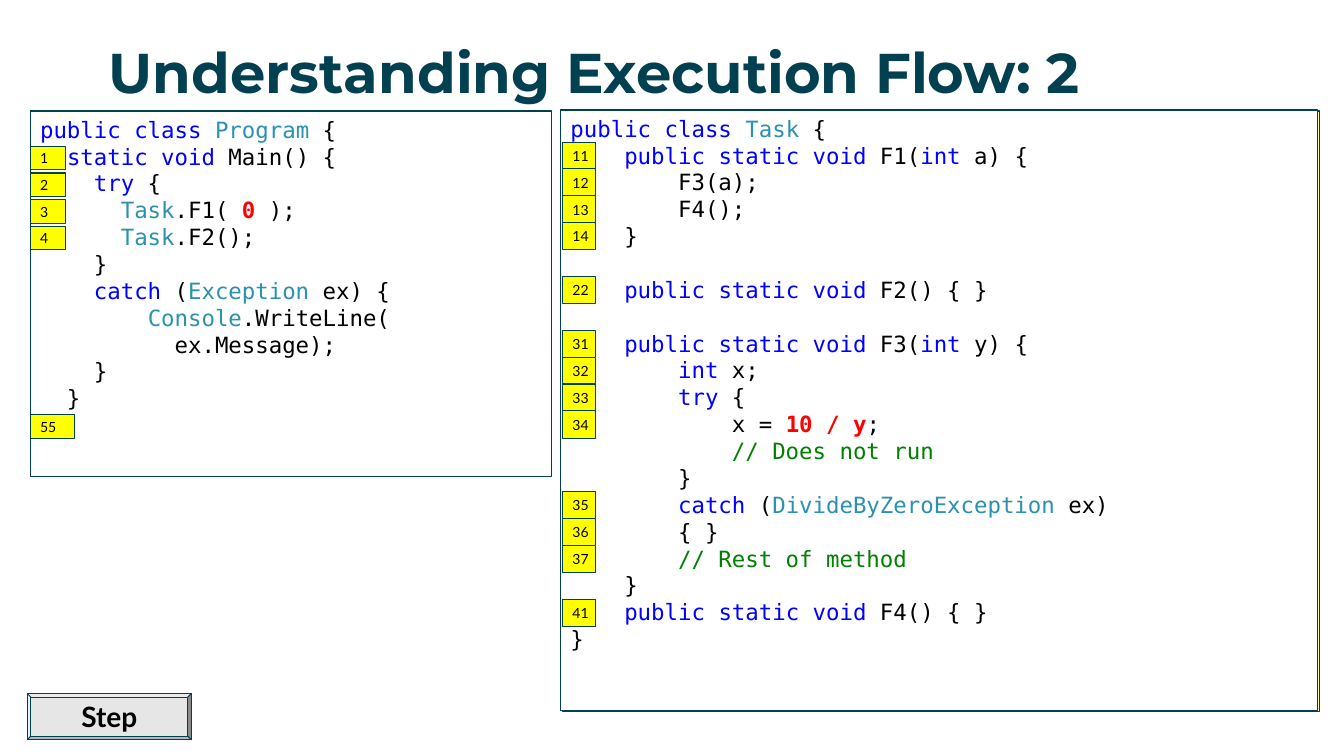
from itertools import groupby

from pptx import Presentation
from pptx import util as u
from pptx.dml.color import RGBColor
from pptx.enum import shapes, text

PX = 9144  # EMU per px, 100 px to the inch
LINE_PT = 19.2  # height of a code line
LINE_PX = LINE_PT * 100 / 72

TEAL = RGBColor(0x00, 0x40, 0x50)
BLACK = RGBColor(0x00, 0x00, 0x00)
WHITE = RGBColor(0xFF, 0xFF, 0xFF)
CREAM = RGBColor(0xFC, 0xFE, 0xB9)
GREY = RGBColor(0xE6, 0xE6, 0xE6)
YELLOW = RGBColor(0xFF, 0xFF, 0x00)
BLUE = RGBColor(0x00, 0x00, 0xFF)
TYPE_BLUE = RGBColor(0x2B, 0x91, 0xAF)
RED = RGBColor(0xFF, 0x00, 0x00)
GREEN = RGBColor(0x00, 0x80, 0x00)

WORD_COLOURS = {
    **dict.fromkeys("public class static void int try catch".split(), BLUE),
    **dict.fromkeys("Program Task Exception Console DivideByZeroException".split(), TYPE_BLUE),
}

# Text between bars is emphasised
PROGRAM_CODE = """\
public class Program {
  static void Main() {
    try {
      Task.F1(| 0 |);
      Task.F2();
    }
    catch (Exception ex) {
        Console.WriteLine(
          ex.Message);
    }
  }
}"""

TASK_CODE = """\
public class Task {
    public static void F1(int a) {
        F3(a);
        F4();
    }

    public static void F2() { }

    public static void F3(int y) {
        int x;
        try {
            x = |10 / y|;
            // Does not run
        }
        catch (DivideByZeroException ex)
        { }
        // Rest of method
    }
    public static void F4() { }
}"""

# Code row of each step number
PROGRAM_STEPS = {1: 1, 2: 2, 3: 3, 4: 4, 55: 11}
TASK_STEPS = {11: 1, 12: 2, 13: 3, 14: 4, 22: 6, 31: 8, 32: 9, 33: 10, 34: 11,
              35: 14, 36: 15, 37: 16, 41: 18}


def apply(target, **values):
    for name, value in values.items():
        setattr(target, name, value)


def add_span(para, words, font, size, colour, bold=False):
    span = para.add_run()
    span.text = words
    apply(span.font, name=font, size=u.Pt(size), bold=bold)
    span.font.color.rgb = colour


def add_box(page, box, fill, line_pt, kind=shapes.MSO_SHAPE.RECTANGLE):
    shape = page.shapes.add_shape(kind, *(round(v * PX) for v in box))
    shape.shadow.inherit = False
    if fill is None:
        shape.fill.background()
    else:
        shape.fill.solid()
        shape.fill.fore_color.rgb = fill
    shape.line.color.rgb = TEAL
    shape.line.width = u.Pt(line_pt)
    return shape


def add_label(shape, words, size, align, bold=False):
    apply(shape.text_frame, word_wrap=False, vertical_anchor=text.MSO_ANCHOR.MIDDLE)
    para = shape.text_frame.paragraphs[0]
    para.alignment = align
    add_span(para, words, "Lato", size, BLACK, bold)


def coloured_words(line):
    """Yield the pieces of a code line with their colours."""
    if line.lstrip().startswith("//"):
        yield line, GREEN
        return
    for index, part in enumerate(line.split("|")):
        if index % 2:
            yield part, RED
            continue
        for _, letters in groupby(part, str.isalnum):
            word = "".join(letters)
            yield word, WORD_COLOURS.get(word, BLACK)


def add_code(shape, code):
    frame = shape.text_frame
    apply(frame, word_wrap=False, vertical_anchor=text.MSO_ANCHOR.TOP,
          margin_left=10 * PX, margin_top=5 * PX, margin_right=0, margin_bottom=5 * PX)
    para, gap = frame.paragraphs[0], 0
    for row, line in enumerate(code.split("\n")):
        if not line:
            gap += LINE_PT
            continue
        if row:
            para = frame.add_paragraph()
        apply(para, alignment=text.PP_ALIGN.LEFT, line_spacing=u.Pt(LINE_PT),
              space_before=u.Pt(gap))
        gap = 0
        for colour, pieces in groupby(coloured_words(line), lambda piece: piece[1]):
            words = "".join(word for word, _ in pieces)
            add_span(para, words, "DejaVu Sans Mono", 16, colour, colour == RED)


def add_steps(page, steps, box, wide=0):
    """Number code rows; box is the badge of row 1, wide is for two digits."""
    left, top, width, height = box
    for number, row in steps.items():
        badge_width = wide if wide and number > 9 else width
        place = (left, top + (row - 1) * LINE_PX, badge_width, height)
        add_label(add_box(page, place, YELLOW, 0.75), str(number), 10, text.PP_ALIGN.LEFT)


def add_program(page, box):
    left, top, _, _ = box
    add_code(add_box(page, box, None, 1), PROGRAM_CODE)
    add_steps(page, PROGRAM_STEPS, (left, top + 35, 35, 23), wide=44)


def add_task(page, box):
    left, top, width, height = box
    add_box(page, (left + 2, top + 1, width, height), CREAM, 1)
    add_code(add_box(page, box, WHITE, 1), TASK_CODE)
    add_steps(page, TASK_STEPS, (left + 2, top + 32, 33, 27))


def add_title(page, box):
    title = page.shapes.title
    left, top, width, height = (v * PX for v in box)
    apply(title, left=left, top=top, width=width, height=height)
    apply(title.text_frame, word_wrap=True, vertical_anchor=text.MSO_ANCHOR.MIDDLE,
          margin_left=0, margin_top=0, margin_right=0, margin_bottom=0)
    para = title.text_frame.paragraphs[0]
    apply(para, alignment=text.PP_ALIGN.LEFT, line_spacing=0.9)
    add_span(para, "Understanding Execution Flow: 2", "Montserrat", 40, TEAL, True)


def add_step_button(page, box):
    button = add_box(page, box, GREY, 0.75, shapes.MSO_SHAPE.BEVEL)
    button.adjustments[0] = 0.08
    add_label(button, "Step", 20, text.PP_ALIGN.CENTER, True)


def main():
    deck = Presentation()
    apply(deck, slide_width=1333 * PX, slide_height=750 * PX)
    page = deck.slides.add_slide(deck.slide_layouts[5])
    add_title(page, (108, 46, 1037, 57))
    add_program(page, (30, 110, 517, 363))
    add_task(page, (556, 109, 751, 596))
    add_step_button(page, (27, 688, 163, 46))
    deck.save("out.pptx")


if __name__ == "__main__":
    main()
